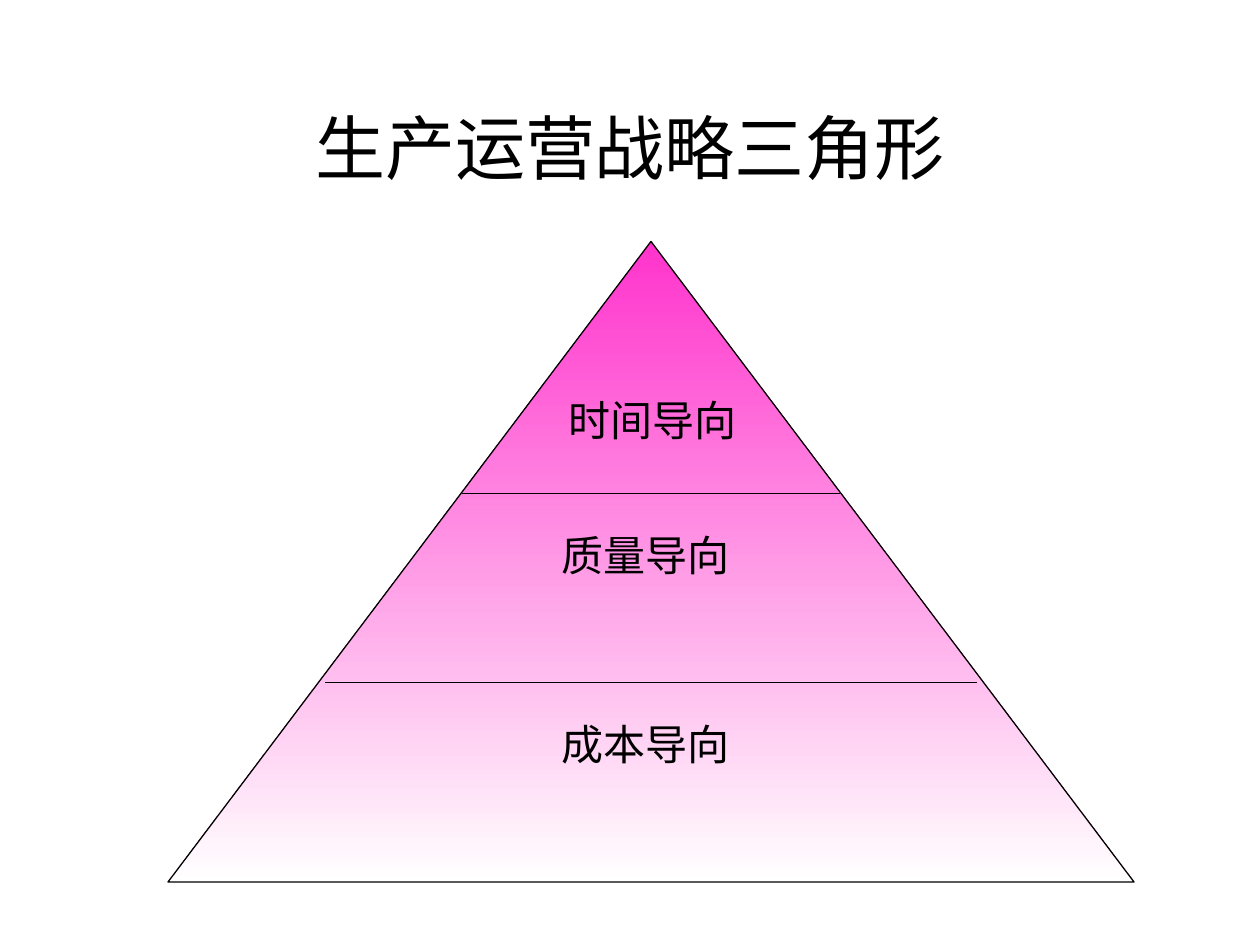
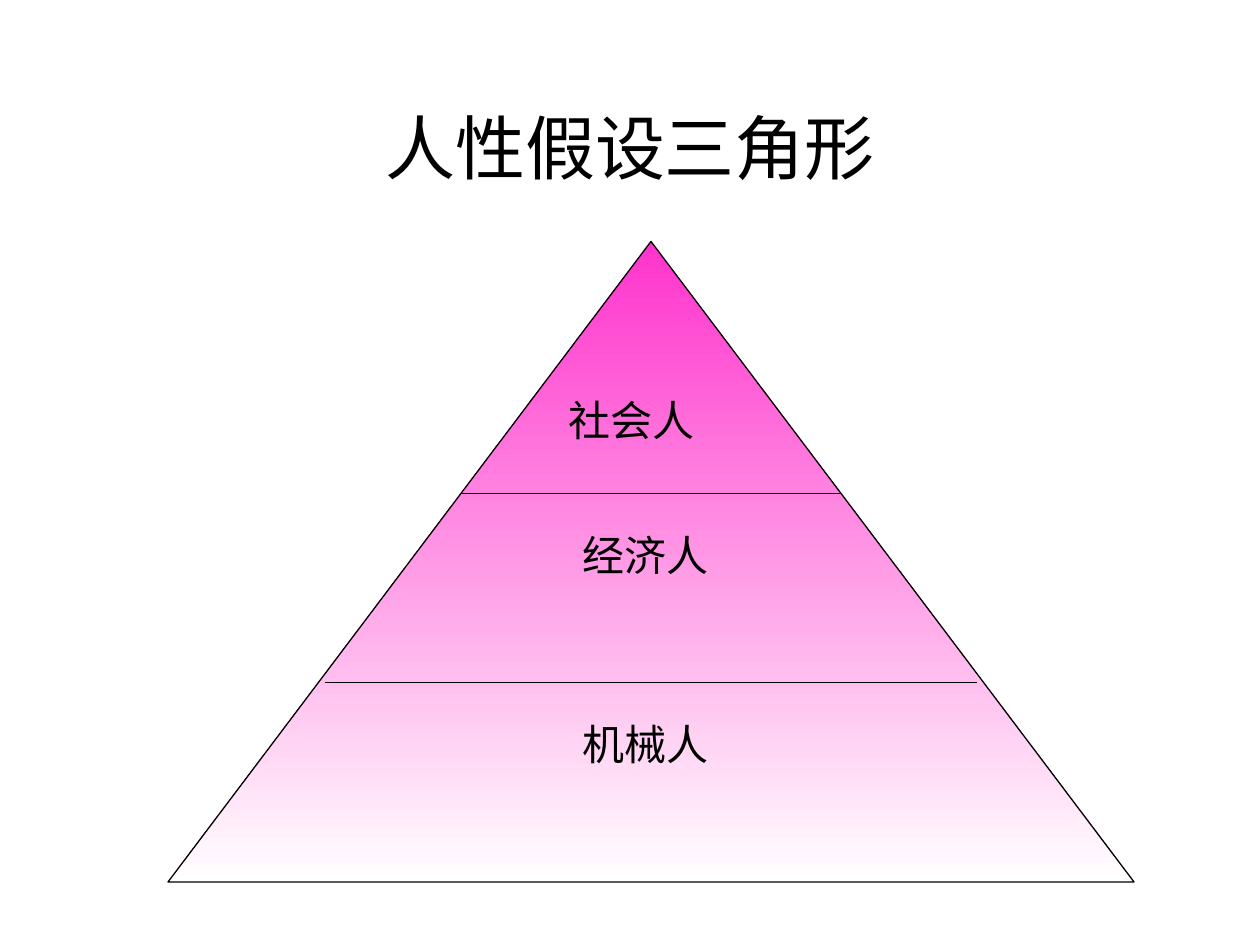
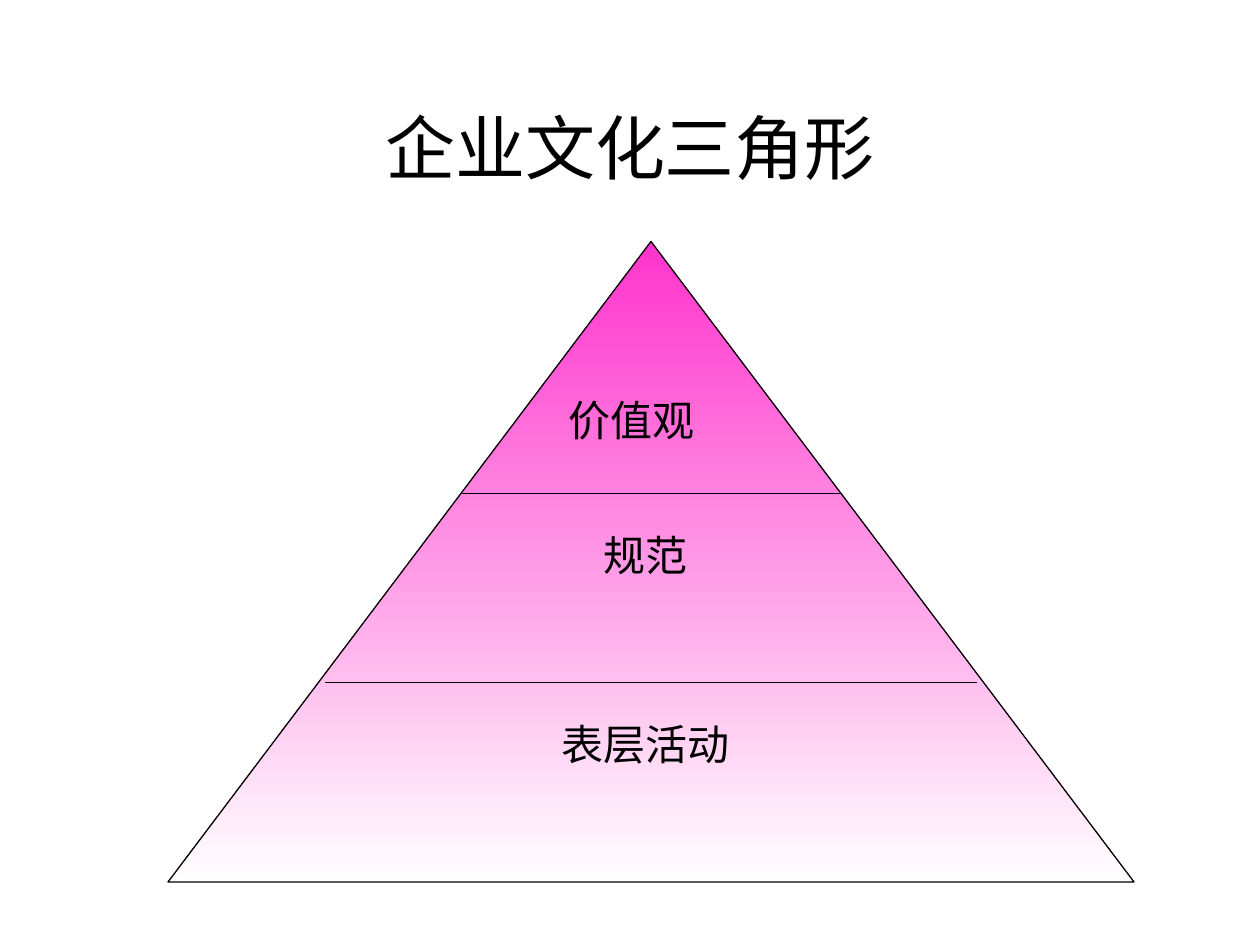
from lxml.etree import SubElement
from pptx import Presentation
from pptx.dml.color import RGBColor
from pptx.enum.shapes import MSO_CONNECTOR, MSO_SHAPE
from pptx.enum.text import MSO_ANCHOR, MSO_AUTO_SIZE, PP_ALIGN
from pptx.oxml.ns import qn
from pptx.util import Pt

BLACK = RGBColor(0x00, 0x00, 0x00)
PINK = RGBColor(0xFF, 0x33, 0xCC)
WHITE = RGBColor(0xFF, 0xFF, 0xFF)
CJK_FONT = "Noto Sans CJK SC"
LABEL_FONT = "Times New Roman"
LINE_WIDTH = Pt(0.75)

# Boxes: left, top, width, height
TITLE_BOX = (36, 30, 648, 108)
PYRAMID_BOX = (96, 138, 552, 366)

# Dividers: distance below the apex, half of the length
DIVIDERS = [(252, 186), (144, 108)]

# Labels: left and top within the pyramid box, width, alignment
LABEL_HEIGHT = 36
LABELS = [
    (222, 84, 114, PP_ALIGN.LEFT),
    (114, 161, 318, PP_ALIGN.CENTER),
    (48, 269, 450, PP_ALIGN.CENTER),
]

# Title, then the levels from top to bottom
SLIDES = [
    ("生产运营战略三角形", ["时间导向", "质量导向", "成本导向"]),
    ("人性假设三角形", ["社会人", "经济人", "机械人"]),
    ("企业文化三角形", ["价值观", "规范", "表层活动"]),
]


def style_paragraph(p, size, font, align):
    p.alignment = align
    p.font.size = Pt(size)
    p.font.color.rgb = BLACK
    p.font.name = font
    # East Asian typeface
    props = p._p.pPr.find(qn("a:defRPr"))
    SubElement(props, qn("a:ea"), typeface=CJK_FONT)


def add_title(s, text, box):
    sp = s.shapes.title
    sp.left, sp.top, sp.width, sp.height = map(Pt, box)
    tf = sp.text_frame
    tf.text = text
    tf.vertical_anchor = MSO_ANCHOR.MIDDLE
    style_paragraph(tf.paragraphs[0], 40, CJK_FONT, PP_ALIGN.CENTER)


def add_divider(s, x, y, half):
    line = s.shapes.add_connector(
        MSO_CONNECTOR.STRAIGHT, Pt(x - half), Pt(y), Pt(x + half), Pt(y))
    line.line.color.rgb = BLACK
    line.line.width = LINE_WIDTH
    SubElement(line._element.spPr, qn("a:effectLst"))


def add_label(s, text, left, top, width, align):
    sp = s.shapes.add_textbox(Pt(left), Pt(top), Pt(width), Pt(LABEL_HEIGHT))
    tf = sp.text_frame
    tf.word_wrap = True
    tf.auto_size = MSO_AUTO_SIZE.SHAPE_TO_FIT_TEXT
    tf.text = text
    style_paragraph(tf.paragraphs[0], 24, LABEL_FONT, align)


def add_pyramid(s, levels, box):
    left, top, width, height = box

    # Gradient triangle, pink at the apex
    sp = s.shapes.add_shape(MSO_SHAPE.ISOSCELES_TRIANGLE, *map(Pt, box))
    sp.shadow.inherit = False
    sp.fill.gradient()
    sp.fill.gradient_angle = 270
    for stop, color in zip(sp.fill.gradient_stops, (PINK, WHITE)):
        stop.color.rgb = color
    sp.line.color.rgb = BLACK
    sp.line.width = LINE_WIDTH

    # Dividers and level labels
    for depth, half in DIVIDERS:
        add_divider(s, left + width / 2, top + depth, half)
    for text, (dx, dy, label_width, align) in zip(levels, LABELS):
        add_label(s, text, left + dx, top + dy, label_width, align)


def main():
    prs = Presentation()
    prs.slide_width, prs.slide_height = Pt(720), Pt(540)
    title_only = prs.slide_layouts[5]
    for title, levels in SLIDES:
        s = prs.slides.add_slide(title_only)
        add_title(s, title, TITLE_BOX)
        add_pyramid(s, levels, PYRAMID_BOX)
    prs.save("out.pptx")


if __name__ == "__main__":
    main()
